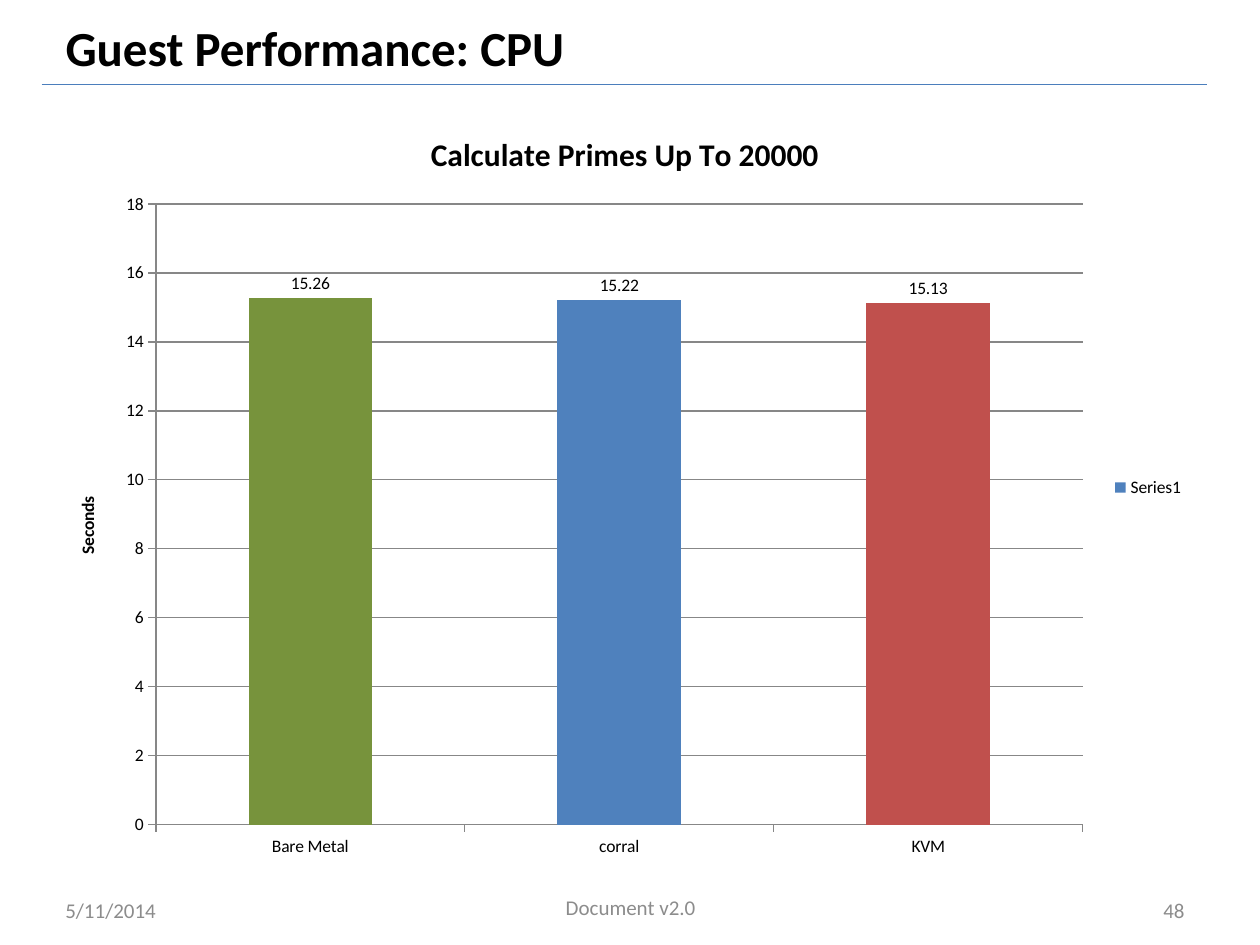
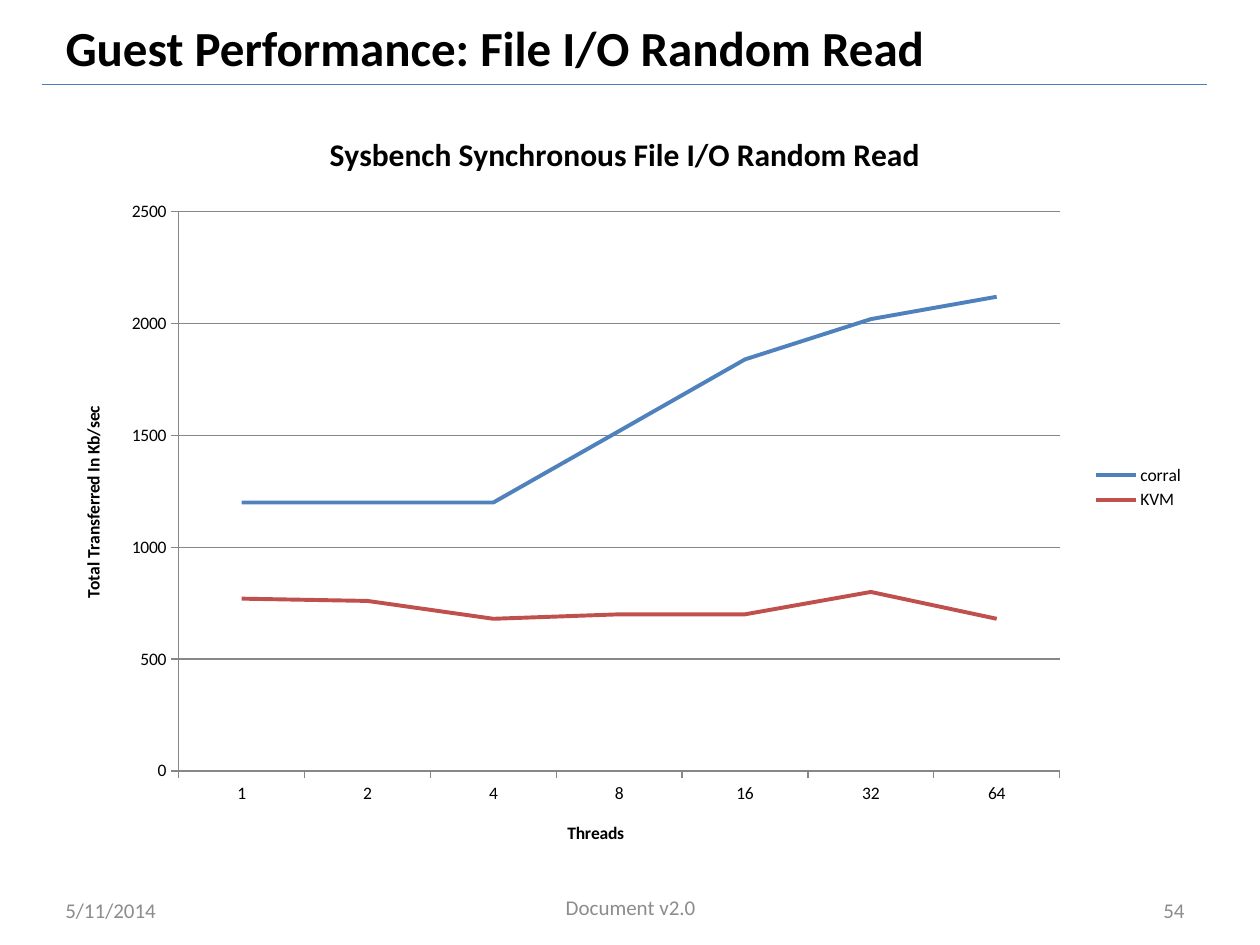
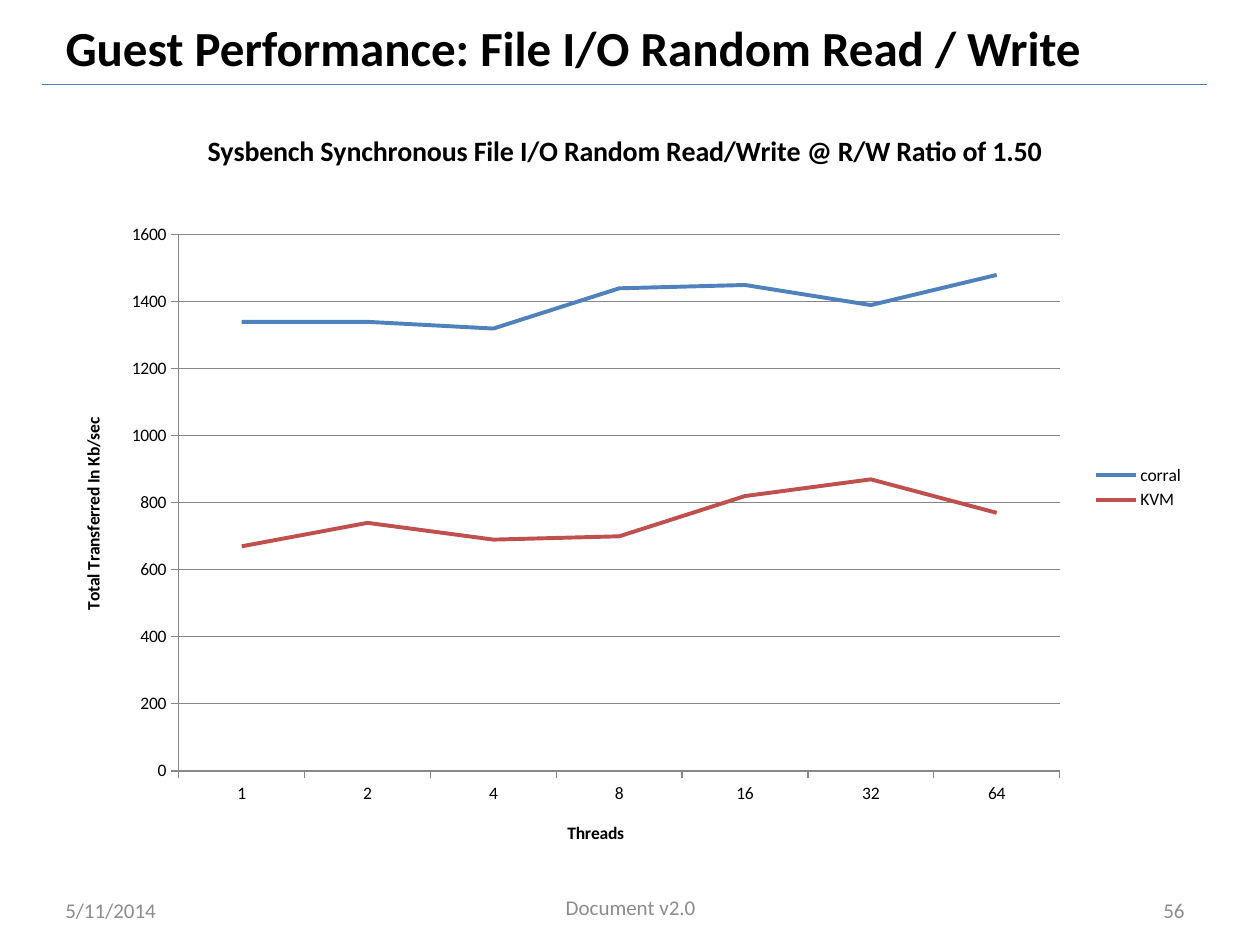
from dataclasses import dataclass

from lxml import etree
from pptx import Presentation, util as u
from pptx.chart.data import CategoryChartData
from pptx.dml.color import RGBColor
from pptx.enum import chart as ce, shapes, text
from pptx.oxml.ns import qn


@dataclass(frozen=True)
class Theme:
    font: str = "Calibri"
    ink: str = "000000"
    grey: str = "8C8C8C"
    grid: str = "878787"
    rule: str = "4B7EBC"
    blue: str = "4F81BD"
    red: str = "C0504D"
    green: str = "77933C"
    head: float = 28
    foot: float = 12
    small: float = 10
    thin: float = 0.75
    thick: float = 2.25


T = Theme()
WIDE, HIGH = 10, 7.5
EDGE, SPAN = 0.42, 9.08
RULE = (0.33, 9.58, 0.67)
HEAD = (EDGE, 0.08, 8.42, 0.58)
BODY = (EDGE, 0.83, SPAN, 6.08)
DATE = (EDGE, 7.02, 2.33, 0.4)
PAGE = (EDGE + SPAN - 2.33, 7.02, 2.33, 0.4)
NOTE = (3.42, 7, 3.17, 0.4)

ALIGN = text.PP_ALIGN
COLUMN = ce.XL_CHART_TYPE.COLUMN_CLUSTERED
LINE = ce.XL_CHART_TYPE.LINE
THREADS = ["1", "2", "4", "8", "16", "32", "64"]
RATE = "Total Transferred In Kb/sec"

# "plot" is the inner plot area as shares of the chart: left, top, width, height
SLIDES = [
    dict(
        head="Guest Performance: CPU", page=48, kind=COLUMN,
        title="Calculate Primes Up To 20000", size=18,
        plot=(0.09, 0.13, 0.81, 0.81), x=None, y="Seconds", top=18, step=2,
        cats=["Bare Metal", "corral", "KVM"],
        series=[("Series1", T.blue, [15.26, 15.22, 15.13])],
        points={0: T.green, 2: T.red},
    ),
    dict(
        head="Guest Performance: File I/O Random Read", page=54, kind=LINE,
        title="Sysbench Synchronous File I/O Random Read", size=18,
        plot=(0.11, 0.14, 0.77, 0.73), x="Threads", y=RATE, top=2500, step=500,
        cats=THREADS,
        series=[
            ("corral", T.blue, [1200, 1200, 1200, 1520, 1840, 2020, 2120]),
            ("KVM", T.red, [770, 760, 680, 700, 700, 800, 680]),
        ],
    ),
    dict(
        head="Guest Performance: File I/O Random Read / Write", page=56, kind=LINE,
        title="Sysbench Synchronous File I/O Random Read/Write @ R/W Ratio of 1.50",
        size=16,
        plot=(0.11, 0.17, 0.77, 0.7), x="Threads", y=RATE, top=1600, step=200,
        cats=THREADS,
        series=[
            ("corral", T.blue, [1340, 1340, 1320, 1440, 1450, 1390, 1480]),
            ("KVM", T.red, [670, 740, 690, 700, 820, 870, 770]),
        ],
    ),
]


def rgb(code):
    return RGBColor.from_string(code)


def inch(box):
    return [u.Inches(v) for v in box]


def style(font, size, color=T.ink, bold=False):
    font.name, font.size, font.bold = T.font, u.Pt(size), bold
    font.color.rgb = rgb(color)


def stroke(line, color, width):
    line.color.rgb, line.width = rgb(color), u.Pt(width)


def write(frame, words, size, color=T.ink, bold=False, align=ALIGN.LEFT):
    par = frame.paragraphs[0]
    par.alignment = align
    run = par.add_run()
    run.text = words
    style(run.font, size, color, bold)


def add_head(slide, words):
    head = slide.shapes.title
    head.left, head.top, head.width, head.height = inch(HEAD)
    frame = head.text_frame
    frame.word_wrap = True
    frame.auto_size = text.MSO_AUTO_SIZE.NONE
    frame.vertical_anchor = text.MSO_ANCHOR.MIDDLE
    write(frame, words, T.head, bold=True)


def add_rule(slide):
    left, right, y = inch(RULE)
    rule = slide.shapes.add_connector(shapes.MSO_CONNECTOR.STRAIGHT, left, y, right, y)
    stroke(rule.line, T.rule, T.thin)
    etree.SubElement(rule.element.spPr, qn("a:effectLst"))


def add_foot(slide, page):
    for box, words, align in (
        (DATE, "5/11/2014", ALIGN.LEFT),
        (PAGE, str(page), ALIGN.RIGHT),
        (NOTE, "Document v2.0", ALIGN.CENTER),
    ):
        frame = slide.shapes.add_textbox(*inch(box)).text_frame
        frame.word_wrap = True
        frame.vertical_anchor = text.MSO_ANCHOR.MIDDLE
        write(frame, words, T.foot, T.grey, align=align)


def place_plot(chart, shares):
    """Fix the inner plot area at the given shares of the chart."""
    area = chart.element.find(".//" + qn("c:plotArea"))
    for old in area.findall(qn("c:layout")):
        area.remove(old)
    layout = etree.Element(qn("c:layout"))
    area.insert(0, layout)
    manual = etree.SubElement(layout, qn("c:manualLayout"))
    values = [("layoutTarget", "inner"), ("xMode", "edge"), ("yMode", "edge")]
    values += zip("xywh", shares)
    for tag, val in values:
        etree.SubElement(manual, qn("c:" + tag)).set("val", str(val))


def set_axis(axis, title):
    axis.major_tick_mark = ce.XL_TICK_MARK.OUTSIDE
    axis.minor_tick_mark = ce.XL_TICK_MARK.NONE
    style(axis.tick_labels.font, T.small)
    stroke(axis.format.line, T.grid, T.thin)
    axis.has_title = bool(title)
    if title:
        write(axis.axis_title.text_frame, title, T.small, bold=True, align=ALIGN.CENTER)


def set_scale(axis, top, step):
    axis.minimum_scale, axis.maximum_scale, axis.major_unit = 0, top, step
    axis.has_major_gridlines = True
    stroke(axis.major_gridlines.format.line, T.grid, T.thin)
    body = axis.axis_title.text_frame._txBody.find(qn("a:bodyPr"))
    body.set("rot", "-5400000")
    body.set("vert", "horz")


def paint(item, color):
    item.format.fill.solid()
    item.format.fill.fore_color.rgb = rgb(color)


def paint_bars(plot, color, points):
    plot.gap_width = 150
    bars = plot.series[0]
    paint(bars, color)
    for i, tint in points.items():
        paint(bars.points[i], tint)
    plot.has_data_labels = True
    labels = plot.data_labels
    labels.show_value = True
    labels.position = ce.XL_LABEL_POSITION.OUTSIDE_END
    style(labels.font, T.small)


def add_graph(slide, item):
    data = CategoryChartData()
    data.categories = item["cats"]
    for name, _, vals in item["series"]:
        data.add_series(name, vals)
    chart = slide.shapes.add_chart(item["kind"], *inch(BODY), data).chart
    style(chart.font, T.small)
    chart.has_title = True
    write(chart.chart_title.text_frame, item["title"], item["size"], bold=True,
          align=ALIGN.CENTER)
    chart.has_legend = True
    chart.legend.position = ce.XL_LEGEND_POSITION.RIGHT
    chart.legend.include_in_layout = False
    style(chart.legend.font, T.small)
    set_axis(chart.category_axis, item["x"])
    set_axis(chart.value_axis, item["y"])
    set_scale(chart.value_axis, item["top"], item["step"])
    place_plot(chart, item["plot"])

    plot = chart.plots[0]
    plot.vary_by_categories = False
    if item["kind"] == COLUMN:
        paint_bars(plot, item["series"][0][1], item["points"])
        return
    for line, (_, color, _) in zip(plot.series, item["series"]):
        line.smooth = False
        line.marker.style = ce.XL_MARKER_STYLE.NONE
        stroke(line.format.line, color, T.thick)


def main():
    deck = Presentation()
    deck.slide_width, deck.slide_height = inch((WIDE, HIGH))
    for item in SLIDES:
        slide = deck.slides.add_slide(deck.slide_layouts[5])
        add_rule(slide)
        add_head(slide, item["head"])
        add_graph(slide, item)
        add_foot(slide, item["page"])
    deck.save("out.pptx")


if __name__ == "__main__":
    main()
